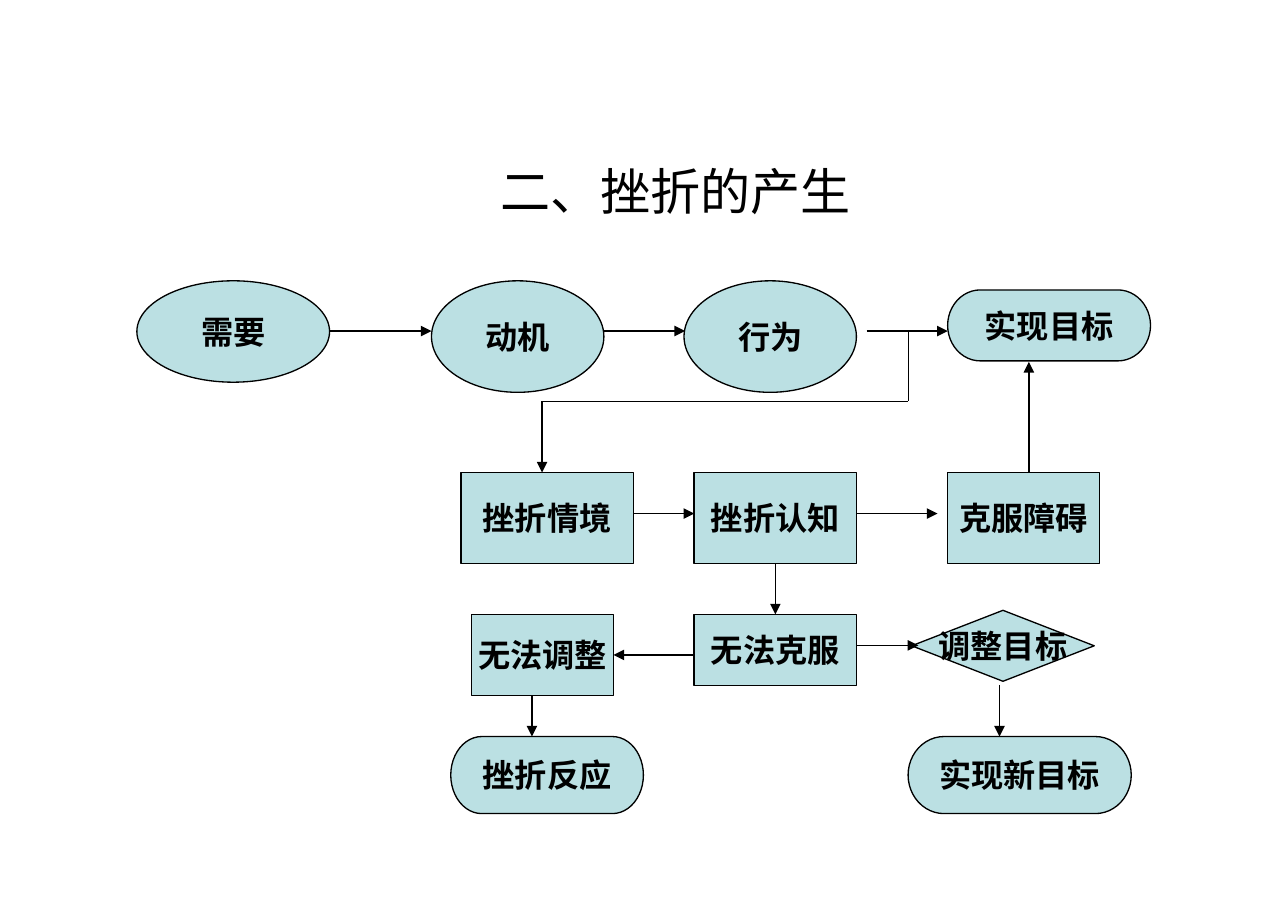
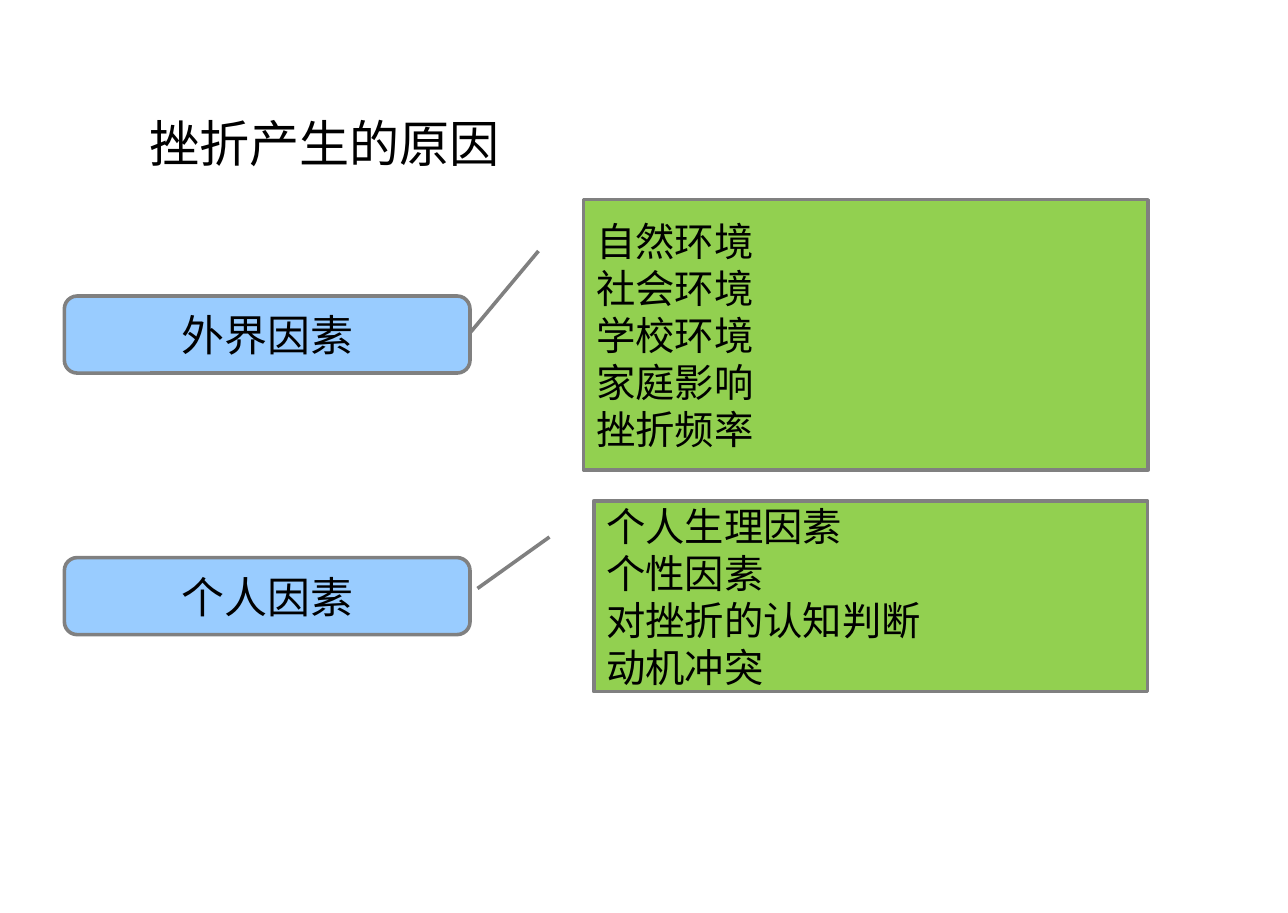
from dataclasses import dataclass

from lxml import etree
from pptx import Presentation
from pptx import util as u
from pptx.dml.color import RGBColor
from pptx.enum import shapes, text
from pptx.oxml import ns


@dataclass(frozen=True)
class Theme:
    ink: str = "000000"
    node: str = "BBE0E3"
    factor: str = "99CCFF"
    detail: str = "92D050"
    border: str = "808080"
    latin: str = "Arial"
    chinese: str = "Noto Sans CJK SC"
    title_size: float = 28
    node_size: float = 18
    factor_size: float = 24
    detail_size: float = 22
    detail_pitch: float = 26.4
    thin: float = 0.75
    thick: float = 2


theme = Theme()
Kind = shapes.MSO_SHAPE
Align = text.PP_ALIGN


def write(box, lines, size, font=theme.chinese, align=Align.CENTER, bold=False, wrap=False):
    """Fill a box with one vertically centred paragraph per line."""
    frame = box.text_frame
    frame.word_wrap = wrap
    frame.vertical_anchor = text.MSO_ANCHOR.MIDDLE
    frame.text = "\n".join(lines)
    for para in frame.paragraphs:
        para.alignment = align
        para.font.size = u.Pt(size)
        para.font.bold = bold
        para.font.color.rgb = RGBColor.from_string(theme.ink)
        para.font.name = font
        properties = para.font.fill._xPr
        etree.SubElement(properties, ns.qn("a:ea"), typeface=theme.chinese)


def draw(page, kind, place, fill, line, width):
    """Add a filled, outlined shape; place is left, top, width, height in cm."""
    shape = page.shapes.add_shape(kind, *map(u.Cm, place))
    shape.shadow.inherit = False
    shape.fill.solid()
    shape.fill.fore_color.rgb = RGBColor.from_string(fill)
    shape.line.color.rgb = RGBColor.from_string(line)
    shape.line.width = u.Pt(width)
    return shape


deck = Presentation()
deck.slide_width = u.Cm(25.4)
deck.slide_height = u.Cm(18.01)

# Titles
titles = [
    ("二、挫折的产生", (1.9, 2.16, 22.86, 3.18), Align.CENTER),
    ("挫折产生的原因", (2.7, 1.32, 22.6, 3), Align.LEFT),
]
pages = []
for title, place, align in titles:
    page = deck.slides.add_slide(deck.slide_layouts[6])
    box = page.shapes.add_textbox(*map(u.Cm, place))
    write(box, [title], theme.title_size, align=align, wrap=True)
    pages.append(page)
flow_page, cause_page = pages

# How frustration arises: nodes
goal_row, barrier_row, outcome_row, end_row = 5.54, 9.32, 12.12, 14.53
nodes = {}
for label, kind, place in [
    ("需要", Kind.OVAL, (2.7, goal_row, 3.8, 2)),
    ("动机", Kind.OVAL, (8.51, goal_row, 3.4, 2.2)),
    ("行为", Kind.OVAL, (13.49, goal_row, 3.4, 2.2)),
    ("实现目标", Kind.FLOWCHART_TERMINATOR, (18.69, 5.72, 4, 1.4)),
    ("挫折情境", Kind.RECTANGLE, (9.09, barrier_row, 3.4, 1.8)),
    ("挫折认知", Kind.RECTANGLE, (13.69, barrier_row, 3.2, 1.8)),
    ("克服障碍", Kind.RECTANGLE, (18.69, barrier_row, 3, 1.8)),
    ("无法克服", Kind.RECTANGLE, (13.69, outcome_row, 3.2, 1.4)),
    ("无法调整", Kind.RECTANGLE, (9.3, outcome_row, 2.8, 1.6)),
    ("调整目标", Kind.FLOWCHART_DECISION, (17.98, 12.04, 3.6, 1.4)),
    ("挫折反应", Kind.FLOWCHART_TERMINATOR, (8.89, end_row, 3.8, 1.52)),
    ("实现新目标", Kind.FLOWCHART_TERMINATOR, (17.91, end_row, 4.4, 1.52)),
]:
    node = draw(flow_page, kind, place, theme.node, theme.ink, theme.thin)
    write(node, [label], theme.node_size, theme.latin, bold=True)
    nodes[label] = node

# How frustration arises: lines from point to point
goal_line, branch_line, barrier_line = 6.53, 7.92, 10.13
branch_x = 17.91
plain, arrow = False, True
links = []
for start, end, pointed in [
    ((6.5, goal_line), (8.51, goal_line), arrow),
    ((11.91, goal_line), (13.51, goal_line), arrow),
    ((17.09, goal_line), (18.69, goal_line), arrow),
    ((branch_x, goal_line), (branch_x, branch_line), plain),
    ((10.69, branch_line), (branch_x, branch_line), plain),
    ((10.69, branch_line), (10.69, barrier_row), arrow),
    ((12.5, barrier_line), (13.69, barrier_line), arrow),
    ((16.89, barrier_line), (18.49, barrier_line), arrow),
    ((20.29, barrier_row), (20.29, 7.14), arrow),
    ((15.29, 11.12), (15.29, outcome_row), arrow),
    ((13.69, 12.92), (12.1, 12.92), arrow),
    ((10.49, 13.72), (10.49, end_row), arrow),
    ((16.89, 12.73), (18.11, 12.73), arrow),
    ((19.71, 13.51), (19.71, end_row), arrow),
]:
    link = flow_page.shapes.add_connector(
        shapes.MSO_CONNECTOR.STRAIGHT, *map(u.Cm, start + end))
    link.line.color.rgb = RGBColor.from_string(theme.ink)
    link.line.width = u.Pt(theme.thin)
    if pointed:
        etree.SubElement(link.line._get_or_add_ln(), ns.qn("a:tailEnd"), type="triangle")
    etree.SubElement(link._element.spPr, ns.qn("a:effectLst"))
    links.append(link)

unresolved, unadjusted = links[9:11]
unresolved.begin_connect(nodes["挫折认知"], 2)
unresolved.end_connect(nodes["无法克服"], 0)
unadjusted.end_connect(nodes["无法调整"], 3)

# Causes of frustration: each factor with its callout
for factor, top, place, pointer, details in [
    ("外界因素", 5.84, (11.51, 3.94, 11.13, 5.33), (0.19, -0.08, 0.49, -0.2),
     ["自然环境", "社会环境", "学校环境", "家庭影响", "挫折频率"]),
    ("个人因素", 11, (11.71, 9.88, 10.92, 3.76), (0.19, -0.08, 0.46, -0.21),
     ["个人生理因素", "个性因素", "对挫折的认知判断", "动机冲突"]),
]:
    label = draw(cause_page, Kind.ROUNDED_RECTANGLE, (1.27, top, 8, 1.52),
                 theme.factor, theme.border, theme.thick)
    write(label, [factor], theme.factor_size)
    callout = draw(cause_page, Kind.LINE_CALLOUT_1, place,
                   theme.detail, theme.border, theme.thick)
    for index, value in enumerate(pointer):
        callout.adjustments[index] = value
    write(callout, details, theme.detail_size, align=Align.LEFT, wrap=True)
    for para in callout.text_frame.paragraphs:
        para.line_spacing = u.Pt(theme.detail_pitch)

deck.save("out.pptx")
